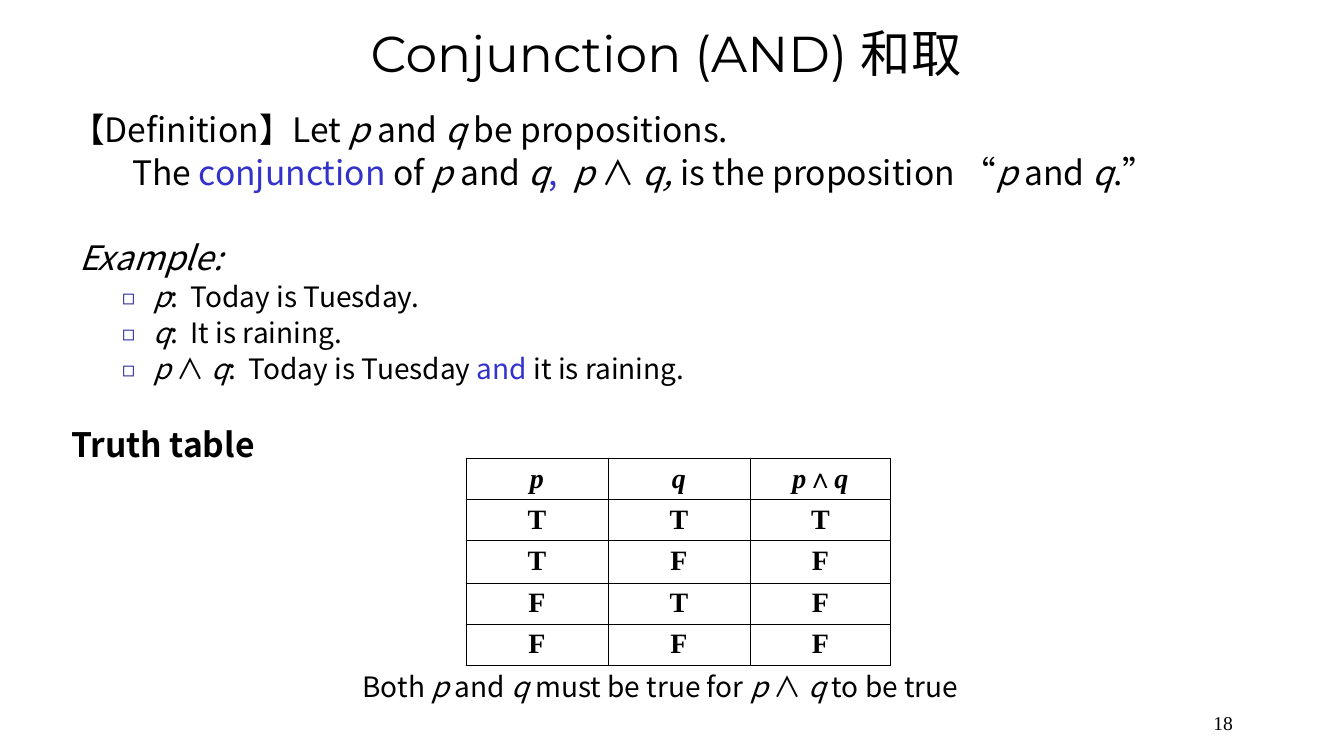
from lxml.etree import SubElement
from pptx import Presentation
from pptx.dml.color import RGBColor
from pptx.enum.text import MSO_ANCHOR, MSO_AUTO_SIZE, PP_ALIGN
from pptx.oxml import parse_xml
from pptx.oxml.ns import nsdecls, qn
from pptx.util import Pt

COLORS = {"ink": "000000", "accent": "3333CC", "bullet": "262699", "paper": "FFFFFF"}
SANS, SERIF, DISPLAY = "Noto Sans CJK SC", "Times New Roman", "Montserrat"

# Each run is (text, style); a style is "", "italic", "bold" or "accent".
P, Q = ("p", "italic"), ("q", "italic")
P_AND_Q = [("p ", "italic"), ("∧ ", ""), Q]
TITLE = "Conjunction (AND) 和取"
# Paragraphs: kind, space before in points, runs
BODY = [
    ("definition", 0, [("【Definition】Let ", ""), ("p ", "italic"), ("and", ""),
                       (" q ", "italic"), ("be propositions.", "")]),
    ("continued", 5, [("The ", ""), ("conjunction ", "accent"), ("of ", ""),
                      ("p ", "italic"), ("and", ""), (" q", "italic"), (",  ", "accent"),
                      ("p ", "italic"), ("∧ ", ""), ("q, ", "italic"),
                      ("is the proposition “", ""), P, (" and ", ""), Q, (".”", "")]),
    ("example", 35, [("Example:", "italic")]),
    ("bullet", 4, [P, (":  Today is Tuesday.", "")]),
    ("bullet", 4, [Q, (":  It is raining.", "")]),
    ("bullet", 4, [*P_AND_Q, (":  Today is Tuesday ", ""), ("and", "accent"),
                   (" it is raining.", "")]),
    ("definition", 31, [("Truth table", "bold")]),
    ("caption", 149, [("Both ", ""), P, (" and ", ""), Q, (" must be true for ", ""),
                      *P_AND_Q, (" to be true", "")]),
]
# Kind: left margin px, first-line indent px, size in points
KINDS = {"definition": (0, 0, 24), "continued": (61, 0, 24), "example": (8, 0, 24),
         "bullet": (82, -31, 20), "caption": (0, 0, 20)}
TRUTH_TABLE = [["p", "q", "p∧q"], ["T", "T", "T"], ["T", "F", "F"],
               ["F", "T", "F"], ["F", "F", "F"]]
COLUMN_WIDTHS = [142, 142, 141]
ROW_HEIGHTS = [41, 41, 43, 41, 41]
PAGE_NUMBER = "18"


def px(length):
    return round(length * 914400 / 100.8)


def place(shape, left, top, width, height):
    shape.left, shape.top, shape.width, shape.height = map(px, (left, top, width, height))


def format_run(span, font, size, style="", east_asian=SANS):
    span.font.name = font
    span.font.size = Pt(size)
    span.font.bold = "bold" in style
    span.font.italic = "italic" in style
    span.font.color.rgb = RGBColor.from_string(COLORS["accent" if style == "accent" else "ink"])
    span.font._element.find(qn("a:latin")).addnext(
        parse_xml(f'<a:ea {nsdecls("a")} typeface="{east_asian}"/>'))


def add_run(para, text, *formatting):
    span = para.add_run()
    span.text = text
    format_run(span, *formatting)


def set_bullet(para, kind, left, indent):
    properties = para._p.get_or_add_pPr()
    properties.set("marL", str(px(left)))
    properties.set("indent", str(px(indent)))
    if kind != "bullet":
        SubElement(properties, qn("a:buNone"))
        return
    para.level = 1
    color = SubElement(properties, qn("a:buClr"))
    SubElement(color, qn("a:srgbClr"), val=COLORS["bullet"])
    SubElement(properties, qn("a:buSzPct"), val="75000")
    SubElement(properties, qn("a:buFont"), typeface=SANS)
    SubElement(properties, qn("a:buChar"), char="◻")


def fill_body(frame):
    frame.word_wrap = True
    frame.auto_size = MSO_AUTO_SIZE.NONE
    frame.vertical_anchor = MSO_ANCHOR.TOP
    for index, (kind, before, runs) in enumerate(BODY):
        para = frame.add_paragraph() if index else frame.paragraphs[0]
        left, indent, size = KINDS[kind]
        set_bullet(para, kind, left, indent)
        para.alignment = PP_ALIGN.CENTER if kind == "caption" else PP_ALIGN.LEFT
        para.line_spacing = 0.9
        para.space_before = Pt(before)
        for text, style in runs:
            add_run(para, text, SANS, size, style)


def format_cell(cell, text, style):
    cell.vertical_anchor = MSO_ANCHOR.MIDDLE
    cell.margin_left = cell.margin_right = px(10)
    cell.margin_top = cell.margin_bottom = px(4)
    para = cell.text_frame.paragraphs[0]
    para.alignment = PP_ALIGN.CENTER
    for letter in text:
        letter_style = "bold" if letter == "∧" else style
        add_run(para, letter, SERIF, 20, letter_style, SERIF)
    cell.fill.solid()
    cell.fill.fore_color.rgb = RGBColor.from_string(COLORS["paper"])
    for index, side in enumerate(("lnL", "lnR", "lnT", "lnB")):
        cell._tc.get_or_add_tcPr().insert(index, parse_xml(
            f'<a:{side} {nsdecls("a")} w="{Pt(0.75)}"><a:solidFill>'
            f'<a:srgbClr val="{COLORS["ink"]}"/></a:solidFill></a:{side}>'))


def add_truth_table(page):
    frame = page.shapes.add_table(
        len(ROW_HEIGHTS), len(COLUMN_WIDTHS), px(466), px(458),
        px(sum(COLUMN_WIDTHS)), px(sum(ROW_HEIGHTS)))
    table = frame.table
    table.first_row = table.horz_banding = False
    for column, width in zip(table.columns, COLUMN_WIDTHS):
        column.width = px(width)
    for index, (row, height, texts) in enumerate(zip(table.rows, ROW_HEIGHTS, TRUTH_TABLE)):
        row.height = px(height)
        for cell, text in zip(row.cells, texts):
            format_cell(cell, text, "bold" if index else "bold italic")


def main():
    deck = Presentation()
    deck.slide_width, deck.slide_height = px(1344), px(756)
    page = deck.slides.add_slide(deck.slide_layouts[1])

    title, body = page.placeholders
    place(title, 95, 12, 1142, 80)
    title.text_frame.text = TITLE
    title.text_frame.vertical_anchor = MSO_ANCHOR.MIDDLE
    title.text_frame.auto_size = MSO_AUTO_SIZE.NONE
    heading = title.text_frame.paragraphs[0]
    heading.alignment = PP_ALIGN.CENTER
    format_run(heading.runs[0], DISPLAY, 36)

    place(body, 61, 108, 1199, 610)
    fill_body(body.text_frame)
    add_truth_table(page)

    number = page.shapes.add_textbox(px(1030), px(706), px(213), px(33))
    number.text_frame.word_wrap = True
    number.text_frame.text = PAGE_NUMBER
    para = number.text_frame.paragraphs[0]
    para.alignment = PP_ALIGN.RIGHT
    format_run(para.runs[0], SERIF, 14)

    deck.save("out.pptx")


if __name__ == "__main__":
    main()
